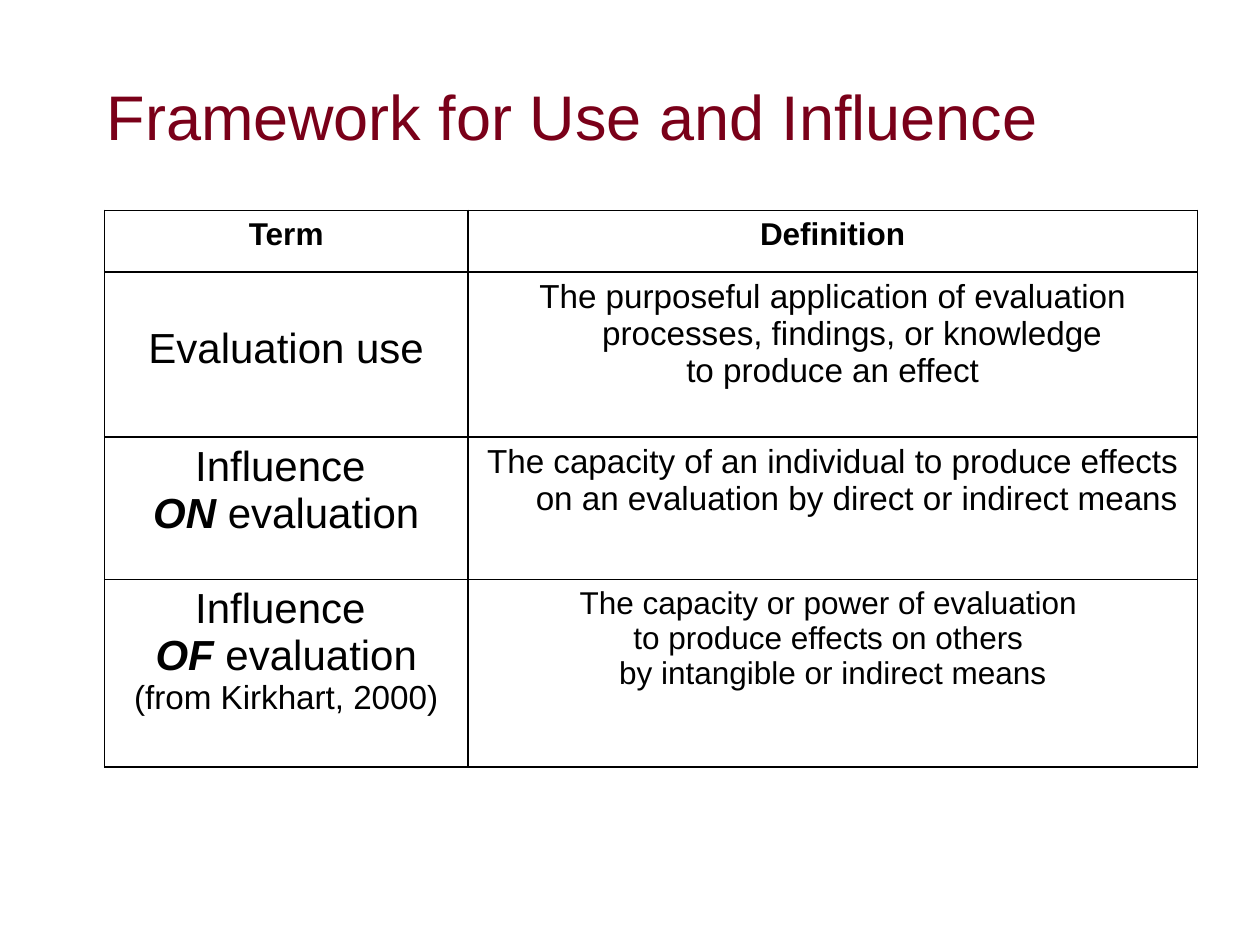
"""Build the slide that defines evaluation use and influence in a table."""
from lxml import etree
from pptx import Presentation
from pptx.dml.color import RGBColor
from pptx.enum.text import MSO_ANCHOR, PP_ALIGN
from pptx.oxml.ns import qn
from pptx.util import Cm, Pt

CENTER = PP_ALIGN.CENTER
MIDDLE = MSO_ANCHOR.MIDDLE
COLORS = {"title": "7A0019", "text": "000000", "border": "000000"}
FONT = "Arial"
INDENT = Cm(0.97)
COLUMN_WIDTHS = [7.32, 14.71]
ROW_HEIGHTS = [1.24, 3.33, 2.87, 3.78]

ROWS = [
    [[[("Term", 18, "b")]], [[("Definition", 18, "b")]]],
    [
        [[("Evaluation use", 24, "")]],
        [
            [("The purposeful application of evaluation processes, findings, or knowledge ", 19, "")],
            [("to produce an effect", 19, "")],
        ],
    ],
    [
        [[("Influence ", 24, "")], [("ON", 24, "bi"), (" evaluation", 24, "")]],
        [[("The capacity of an individual to produce effects on an evaluation by direct or indirect means", 19, "")]],
    ],
    [
        [
            [("Influence ", 24, "")],
            [("OF", 24, "bi"), (" evaluation", 24, "")],
            [("(from Kirkhart, 2000)", 19, "")],
        ],
        [
            [("The capacity or power of evaluation ", 18, "")],
            [("to produce effects on others ", 18, "")],
            [("by intangible or indirect means", 18, "")],
        ],
    ],
]


def add_run(paragraph, text, size, color, style=""):
    run = paragraph.add_run()
    run.text = text
    run.font.name = FONT
    run.font.size = Pt(size)
    run.font.bold = "b" in style
    run.font.italic = "i" in style
    run.font.color.rgb = RGBColor.from_string(COLORS[color])


def add_borders(cell):
    properties = cell._tc.get_or_add_tcPr()
    for side in ("a:lnL", "a:lnR", "a:lnT", "a:lnB"):
        line = etree.SubElement(properties, qn(side), w=str(Pt(1)))
        fill = etree.SubElement(line, qn("a:solidFill"))
        etree.SubElement(fill, qn("a:srgbClr"), val=COLORS["border"])


presentation = Presentation()
presentation.slide_width = Cm(25.4)
presentation.slide_height = Cm(19.05)
slide = presentation.slides.add_slide(presentation.slide_layouts[6])

title = slide.shapes.add_textbox(Cm(1.9), Cm(0.64), Cm(22.86), Cm(3.38))
title.text_frame.word_wrap = True
title.text_frame.vertical_anchor = MIDDLE
add_run(title.text_frame.paragraphs[0], "Framework for Use and Influence", 36, "title")

table = slide.shapes.add_table(
    len(ROW_HEIGHTS), len(COLUMN_WIDTHS), Cm(2.11), Cm(4.24),
    Cm(sum(COLUMN_WIDTHS)), Cm(sum(ROW_HEIGHTS)),
).table
table.first_row = False
table.horz_banding = False
for column, width in zip(table.columns, COLUMN_WIDTHS):
    column.width = Cm(width)
for row, height in zip(table.rows, ROW_HEIGHTS):
    row.height = Cm(height)

for row, contents in zip(table.rows, ROWS):
    for cell, paragraphs in zip(row.cells, contents):
        add_borders(cell)
        cell.fill.background()
        for index, runs in enumerate(paragraphs):
            frame = cell.text_frame
            paragraph = frame.add_paragraph() if index else frame.paragraphs[0]
            paragraph.alignment = CENTER
            properties = paragraph._p.get_or_add_pPr()
            properties.set("marL", str(INDENT))
            properties.set("indent", str(-INDENT))
            for text, size, style in runs:
                add_run(paragraph, text, size, "text", style)

table.cell(1, 0).margin_top = Cm(1.09)

presentation.save("out.pptx")
